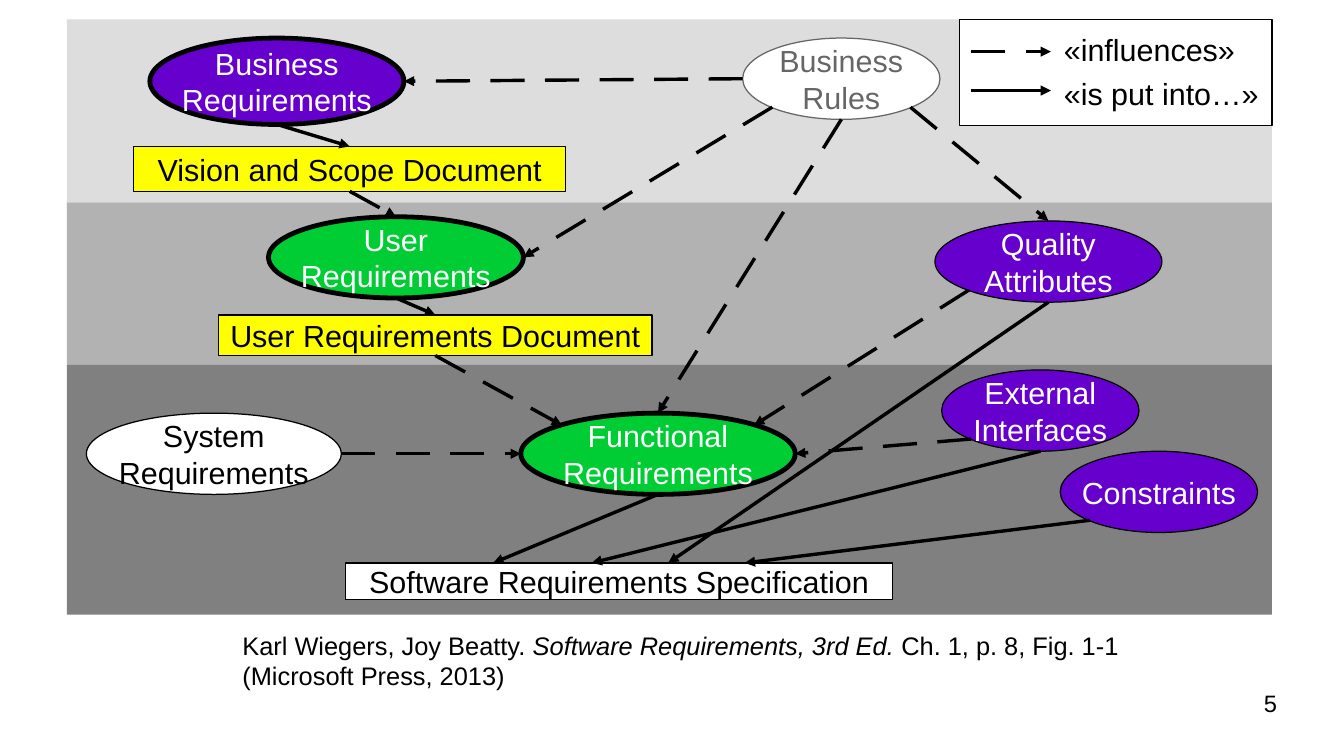
from lxml import etree
from pptx import Presentation
from pptx.dml.color import RGBColor
from pptx.enum.shapes import MSO_CONNECTOR as CONNECTOR, MSO_SHAPE as SHAPE
from pptx.enum.text import MSO_ANCHOR as ANCHOR, PP_ALIGN as ALIGN
from pptx.oxml.ns import qn
from pptx.util import Pt

BLACK, WHITE, GREY = "000000", "FFFFFF", "666666"
PURPLE, GREEN, YELLOW = "6600CC", "00CC33", "FFFF00"
HAIRLINE, BOLD_LINE = 0, 2.83

TOP, BOTTOM, LEFT, RIGHT = (0.5, 0), (0.5, 1), (0, 0.5), (1, 0.5)
BOTTOM_LEFT, BOTTOM_RIGHT = (0.15, 0.85), (0.85, 0.85)
TOP_LEFT, TOP_RIGHT = (0.15, 0.15), (0.85, 0.15)

BANDS = [("DDDDDD", 108), ("B2B2B2", 96), ("808080", 147.5)]

NODES = {
    "business": ("Business\nRequirements", SHAPE.OVAL, (49, 11, 150, 51), PURPLE, WHITE, BLACK, BOLD_LINE),
    "rules": ("Business\nRules", SHAPE.OVAL, (399, 11, 116.5, 48), WHITE, GREY, GREY, HAIRLINE),
    "vision": ("Vision and Scope Document", SHAPE.RECTANGLE, (39.5, 75, 255, 26.5), YELLOW, BLACK, BLACK, HAIRLINE),
    "user": ("User\nRequirements", SHAPE.OVAL, (119, 116.5, 150.5, 48), GREEN, WHITE, BLACK, BOLD_LINE),
    "quality": ("Quality\nAttributes", SHAPE.OVAL, (512.5, 119, 134, 48), PURPLE, WHITE, BLACK, HAIRLINE),
    "document": ("User Requirements Document", SHAPE.RECTANGLE, (89.5, 174.5, 256, 24), YELLOW, BLACK, BLACK, HAIRLINE),
    "specification": ("Software Requirements Specification", SHAPE.RECTANGLE, (164.5, 321, 323, 21.5), WHITE, BLACK, BLACK, HAIRLINE),
    "external": ("External\nInterfaces", SHAPE.OVAL, (516.5, 207, 116.5, 48), PURPLE, WHITE, BLACK, HAIRLINE),
    "constraints": ("Constraints", SHAPE.OVAL, (586.5, 255, 116.5, 48), PURPLE, WHITE, BLACK, HAIRLINE),
    "functional": ("Functional\nRequirements", SHAPE.OVAL, (268, 232.5, 162, 48), GREEN, WHITE, BLACK, BOLD_LINE),
    "system": ("System\nRequirements", SHAPE.OVAL, (11.5, 232.5, 150.5, 48), WHITE, BLACK, BLACK, HAIRLINE),
}

INFLUENCES = [
    ("rules", LEFT, "business", RIGHT),
    ("rules", BOTTOM_LEFT, "user", RIGHT),
    ("rules", BOTTOM_RIGHT, "quality", TOP),
    ("rules", BOTTOM, "functional", TOP),
    ("vision", BOTTOM, "user", TOP),
    ("document", BOTTOM, "functional", TOP_LEFT),
    ("quality", BOTTOM_LEFT, "functional", TOP_RIGHT),
    ("external", BOTTOM_LEFT, "functional", RIGHT),
    ("system", RIGHT, "functional", LEFT),
]

PUT_INTO = [
    ("business", BOTTOM, "vision", TOP),
    ("user", BOTTOM, "document", TOP),
    ("functional", BOTTOM, "specification", (0.27, 0)),
    ("external", BOTTOM, "specification", (0.45, 0)),
    ("quality", BOTTOM, "specification", (0.59, 0)),
    ("constraints", BOTTOM_LEFT, "specification", (0.73, 0)),
]


def color(value):
    return RGBColor.from_string(value)


def style_text(text_frame, size, value, alignment):
    for paragraph in text_frame.paragraphs:
        paragraph.alignment = alignment
        for run in paragraph.runs:
            run.font.name = "Arial"
            run.font.size = Pt(size)
            run.font.color.rgb = color(value)


def add_block(slide, kind, box, fill, line=None, width=HAIRLINE):
    shape = slide.shapes.add_shape(kind, *map(Pt, box))
    shape.shadow.inherit = False
    shape.fill.solid()
    shape.fill.fore_color.rgb = color(fill)
    if line:
        shape.line.color.rgb = color(line)
        shape.line.width = Pt(width)
    else:
        shape.line.fill.background()
    return shape


def add_node(slide, left, top, node):
    text, kind, (x, y, width, height), fill, ink, line, line_width = node
    shape = add_block(slide, kind, (left + x, top + y, width, height), fill, line, line_width)
    shape.text_frame.text = text
    shape.text_frame.word_wrap = False
    shape.text_frame.vertical_anchor = ANCHOR.MIDDLE
    style_text(shape.text_frame, 18, ink, ALIGN.CENTER)
    return shape


def add_arrow(slide, start, end, dashed):
    arrow = slide.shapes.add_connector(CONNECTOR.STRAIGHT, *map(Pt, start + end))
    arrow.line.color.rgb = color(BLACK)
    arrow.line.width = Pt(HAIRLINE)
    line = arrow.line._get_or_add_ln()
    if dashed:
        dash = etree.SubElement(line, qn("a:custDash"))
        etree.SubElement(dash, qn("a:ds"), d="1000000", sp="600000")
    etree.SubElement(line, qn("a:tailEnd"), type="triangle")
    etree.SubElement(arrow._element.spPr, qn("a:effectLst"))


def add_label(slide, box, text, size, alignment=ALIGN.LEFT, wrap=False):
    label = slide.shapes.add_textbox(*map(Pt, box))
    label.text_frame.text = text
    label.text_frame.word_wrap = wrap
    style_text(label.text_frame, size, BLACK, alignment)
    return label


def anchor_point(shape, anchor):
    return (
        (shape.left + shape.width * anchor[0]) / Pt(1),
        (shape.top + shape.height * anchor[1]) / Pt(1),
    )


def draw_diagram(slide, left, top, width):
    band_top = top
    for fill, height in BANDS:
        add_block(slide, SHAPE.RECTANGLE, (left, band_top, width, height), fill)
        band_top += height
    shapes = {name: add_node(slide, left, top, node) for name, node in NODES.items()}
    for arrows, dashed in ((INFLUENCES, True), (PUT_INTO, False)):
        for source, source_anchor, target, target_anchor in arrows:
            start = anchor_point(shapes[source], source_anchor)
            end = anchor_point(shapes[target], target_anchor)
            add_arrow(slide, start, end, dashed)


def draw_legend(slide, left, top, width, height):
    add_block(slide, SHAPE.RECTANGLE, (left, top, width, height), WHITE, BLACK)
    rows = [("«influences»", 19, 3, True), ("«is put into…»", 42, 29.5, False)]
    for text, arrow_y, label_y, dashed in rows:
        add_arrow(slide, (left + 7, top + arrow_y), (left + 54, top + arrow_y), dashed)
        add_label(slide, (left + 54.5, top + label_y, width - 54.5, 27), text, 18)


def draw_citation(slide, left, top, width, height):
    label = add_label(slide, (left, top, width, height), "Karl Wiegers, Joy Beatty. ", 15, wrap=True)
    paragraph = label.text_frame.paragraphs[0]
    title = paragraph.add_run()
    title.text = "Software Requirements, 3rd Ed."
    title.font.italic = True
    paragraph.add_run().text = " Ch. 1, p. 8, Fig. 1-1"
    paragraph.add_line_break()
    paragraph.add_run().text = "(Microsoft Press, 2013)"
    style_text(label.text_frame, 15, BLACK, ALIGN.LEFT)


def draw_page_number(slide, left, top, width, height):
    label = add_label(slide, (left, top, width, height), "5", 14, ALIGN.RIGHT, True)
    frame = label.text_frame
    frame.margin_left = frame.margin_right = frame.margin_top = frame.margin_bottom = 0


def main():
    presentation = Presentation()
    presentation.slide_width = Pt(793.5)
    presentation.slide_height = Pt(446.5)
    slide = presentation.slides.add_slide(presentation.slide_layouts[6])
    draw_diagram(slide, 39.5, 11.5, 711.5)
    draw_legend(slide, 566.5, 11.5, 184.5, 62.5)
    draw_citation(slide, 136, 368.5, 538.5, 40)
    draw_page_number(slide, 569, 407, 185, 31)
    presentation.save("out.pptx")


if __name__ == "__main__":
    main()
